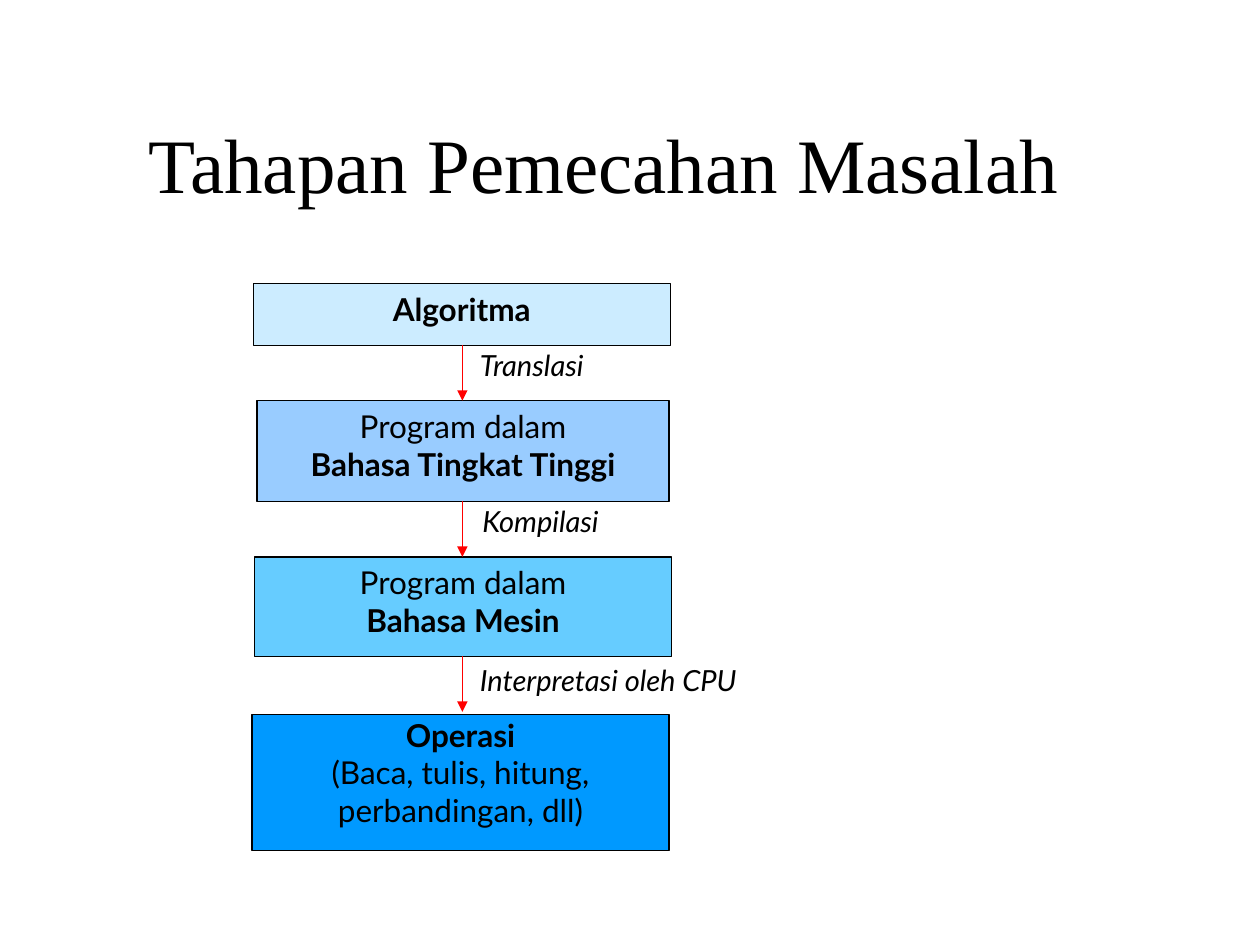
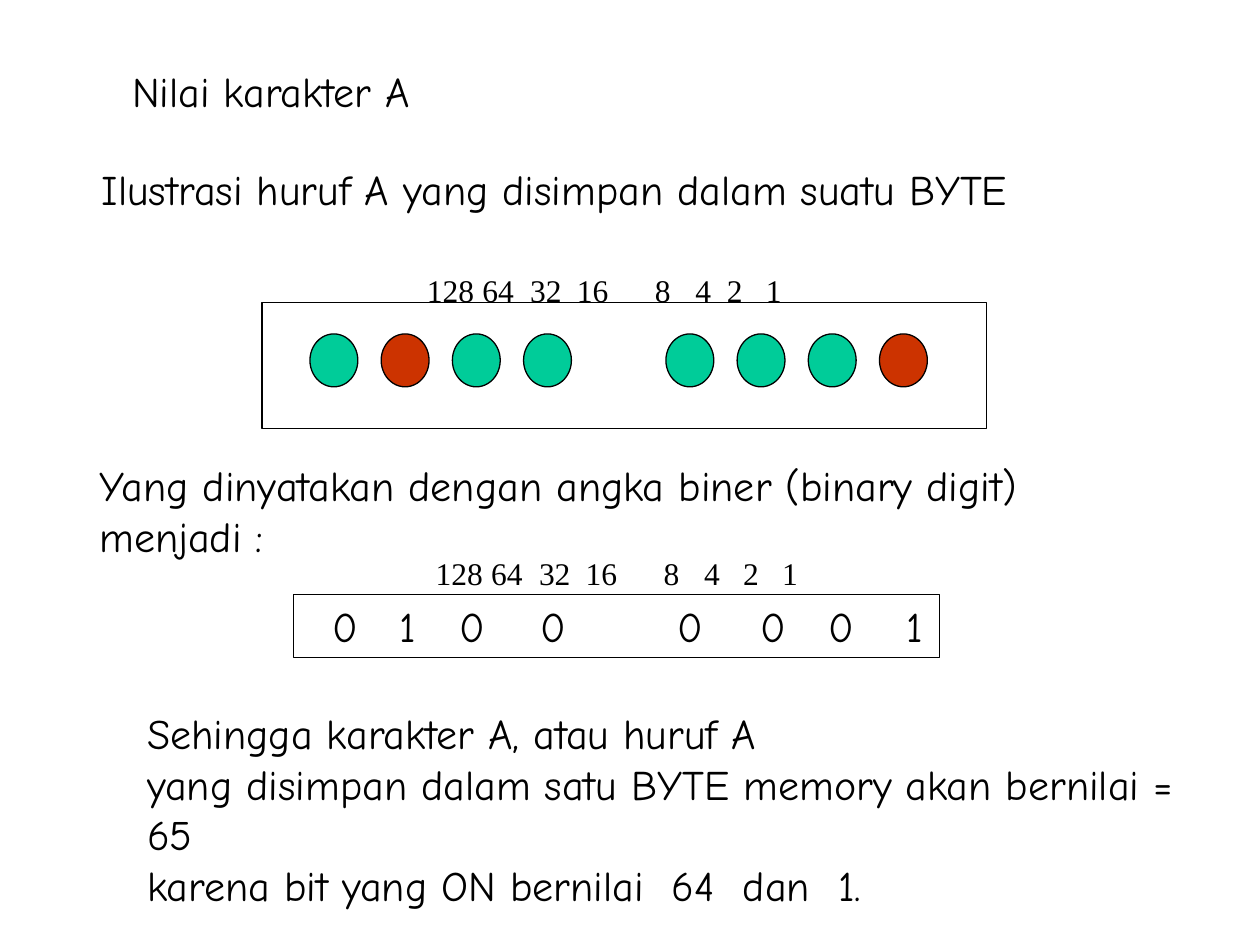
from lxml import etree
from pptx import Presentation
from pptx.dml.color import RGBColor
from pptx.enum import shapes, text
from pptx.oxml import ns
from pptx.util import Inches, Pt

BLACK, RED, GREEN, BRICK = "000000", "FF0000", "00CC99", "CC3300"
SANS, SERIF, COMIC = "Lato", "Times New Roman", "Comic Neue"


def write(sp, lines, font, size, anchor=text.MSO_ANCHOR.TOP, align=text.PP_ALIGN.LEFT,
          bold=None, italic=None, spacing=None, tabs=()):
    """Fill a shape with one paragraph per line; bold is the index of the bold line."""
    tf = sp.text_frame
    tf.word_wrap = True
    tf.auto_size = text.MSO_AUTO_SIZE.NONE
    tf.vertical_anchor = anchor
    for i, line in enumerate(lines):
        p = tf.paragraphs[0] if i == 0 else tf.add_paragraph()
        p.text = line
        p.alignment = align
        p.line_spacing = spacing
        if tabs:
            stops = etree.SubElement(p._p.get_or_add_pPr(), ns.qn("a:tabLst"))
            for pos in tabs:
                etree.SubElement(stops, ns.qn("a:tab"), pos=str(Inches(pos)), algn="l")
        p.font.name = font
        p.font.size = Pt(size)
        p.font.bold = i == bold
        p.font.italic = italic
        p.font.color.rgb = RGBColor.from_string(BLACK)
    return tf


def outlined(s, kind, left, top, width, height, fill=None):
    sp = s.shapes.add_shape(kind, Inches(left), Inches(top), Inches(width), Inches(height))
    sp.shadow.inherit = False
    if fill:
        sp.fill.solid()
        sp.fill.fore_color.rgb = RGBColor.from_string(fill)
    else:
        sp.fill.background()
    sp.line.color.rgb = RGBColor.from_string(BLACK)
    sp.line.width = Pt(0.75)
    return sp


prs = Presentation()
prs.slide_width, prs.slide_height = Inches(10), Inches(7.5)
title_only = prs.slide_layouts[5]
RECT, OVAL = shapes.MSO_SHAPE.RECTANGLE, shapes.MSO_SHAPE.OVAL

# Slide 1: from algorithm to operation
s = prs.slides.add_slide(title_only)
title = s.shapes.title
title.left, title.top, title.width, title.height = map(Inches, (1.08, 0.67, 8.17, 1.25))
write(title, ["Tahapan Pemecahan Masalah"], SERIF, 44, anchor=text.MSO_ANCHOR.MIDDLE)

stages = [
    (2.01, 2.25, 3.31, 0.49, "CCECFF", ["Algoritma"], 0),
    (2.04, 3.18, 3.27, 0.8, "99CCFF", ["Program dalam", "Bahasa Tingkat Tinggi"], 1),
    (2.02, 4.42, 3.31, 0.79, "66CCFF", ["Program dalam", "Bahasa Mesin"], 1),
    (2, 5.67, 3.31, 1.08, "0099FF", ["Operasi", "(Baca, tulis, hitung, perbandingan, dll)"], 0),
]
for left, top, width, height, fill, lines, bold in stages:
    sp = outlined(s, RECT, left, top, width, height, fill)
    tf = write(sp, lines, SANS, 18, align=text.PP_ALIGN.CENTER, bold=bold)
# The last stage holds three lines, so its margins are tighter
tf.margin_left = tf.margin_right = Inches(0.06)
tf.margin_top = tf.margin_bottom = Inches(0.01)

steps = [
    ("Translasi", 2.74, 3.71, 2.74),
    ("Kompilasi", 3.98, 3.73, 3.98),
    ("Interpretasi oleh CPU", 5.21, 3.71, 5.24),
]
for label, arrow_top, left, top in steps:
    arrow = s.shapes.add_connector(shapes.MSO_CONNECTOR.STRAIGHT, Inches(3.67), Inches(arrow_top),
                                   Inches(3.67), Inches(arrow_top + 0.44))
    arrow.line.color.rgb = RGBColor.from_string(RED)
    arrow.line.width = Pt(0.75)
    etree.SubElement(arrow.line._get_or_add_ln(), ns.qn("a:tailEnd"), type="triangle")
    etree.SubElement(arrow._element.spPr, ns.qn("a:effectLst"))
    sp = s.shapes.add_textbox(Inches(left), Inches(top), Inches(2.98), Inches(0.39))
    write(sp, [label], SANS, 16.6, italic=True, spacing=0.9)

# Slide 2: the letter A as one byte
s = prs.slides.add_slide(title_only)
title = s.shapes.title
title.left, title.top, title.width, title.height = map(Inches, (0.95, 0.47, 3, 0.5))
write(title, ["Nilai karakter A"], COMIC, 24)

BYTE = "01000001"
for i, bit in enumerate(BYTE):
    column = i + i // 4  # one empty column between the two halves
    outlined(s, OVAL, 2.46 + 0.565 * column, 2.65, 0.38, 0.42, BRICK if bit == "1" else GREEN)
outlined(s, RECT, 2.08, 2.4, 5.75, 1)

passages = [
    (0.71, 1.25, 7.8, 0.5, ["Ilustrasi huruf A yang disimpan dalam suatu BYTE"]),
    (0.69, 3.6, 7.8, 0.9, ["Yang dinyatakan dengan angka biner (binary digit)", "menjadi :"]),
    (1.07, 5.57, 8.77, 1.7, ["Sehingga karakter A, atau huruf A",
                             "yang disimpan dalam satu BYTE memory akan bernilai = 65",
                             "karena bit yang ON bernilai  64  dan  1."]),
]
for left, top, width, height, lines in passages:
    sp = s.shapes.add_textbox(Inches(left), Inches(top), Inches(width), Inches(height))
    write(sp, lines, COMIC, 24)

weights = "\t".join(str(2 ** n) for n in range(7, -1, -1))
weight_rows = [
    (3.29, 2.1, (0.44, 0.82, 1.19, 1.81, 2.13, 2.38, 2.69)),
    (3.36, 4.35, (0.44, 0.82, 1.19, 1.81, 2.13, 2.44, 2.75)),
]
for left, top, tabs in weight_rows:
    sp = s.shapes.add_textbox(Inches(left), Inches(top), Inches(3.2), Inches(0.4))
    write(sp, [weights], SERIF, 18, tabs=tabs)

sp = outlined(s, RECT, 2.33, 4.72, 5.13, 0.5)
tf = write(sp, ["\t" + "\t".join(BYTE)], COMIC, 24,
           tabs=(0.21, 0.74, 1.22, 1.86, 2.95, 3.61, 4.15, 4.77))
tf.margin_right = 0

prs.save("out.pptx")
